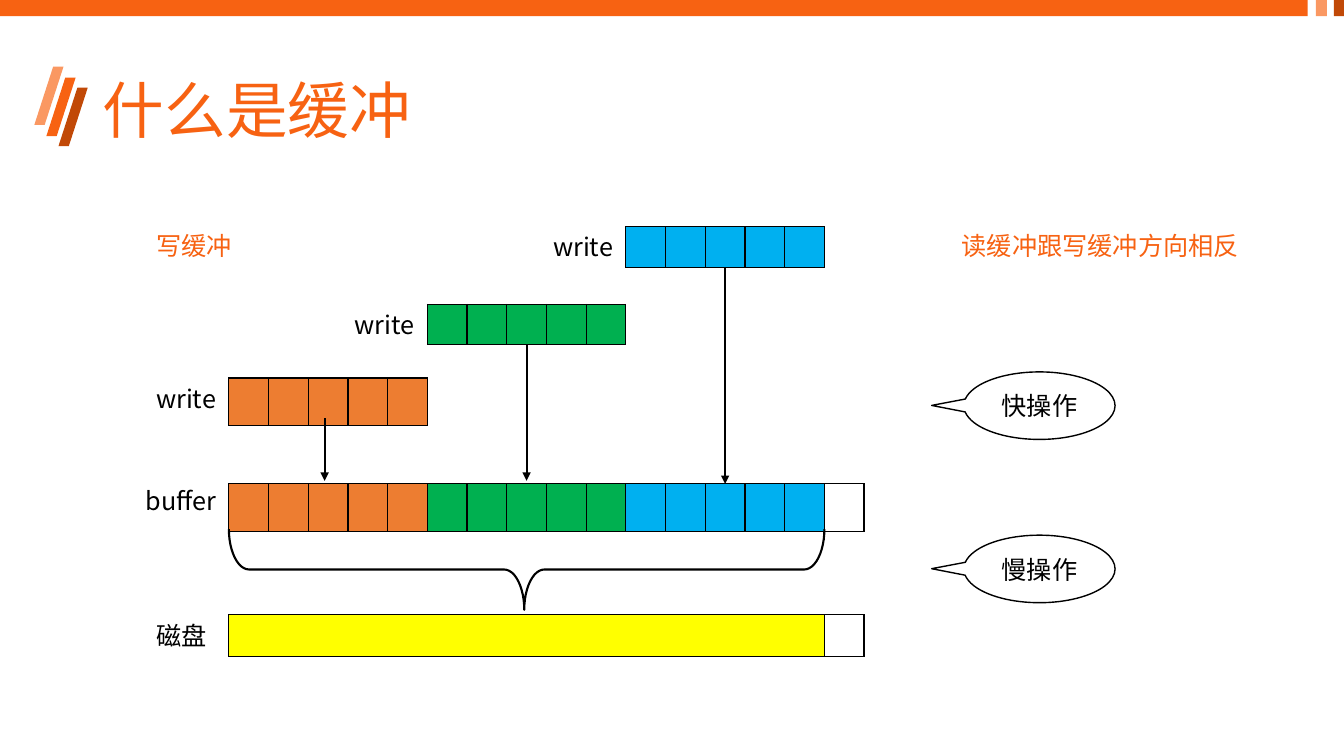
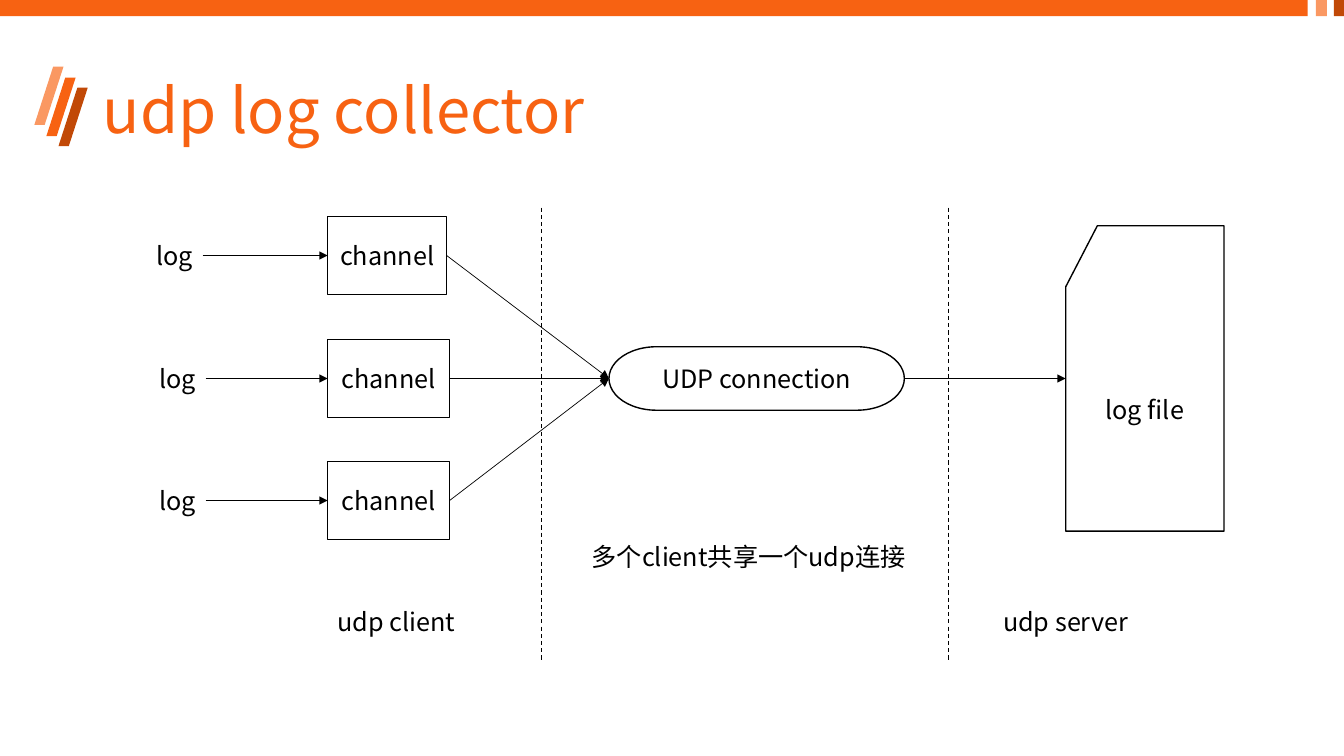
from lxml.etree import SubElement
from pptx import Presentation
from pptx.dml.color import RGBColor
from pptx.enum.dml import MSO_LINE
from pptx.enum.shapes import MSO_CONNECTOR, MSO_SHAPE
from pptx.enum.text import MSO_ANCHOR, MSO_AUTO_SIZE, PP_ALIGN
from pptx.oxml.ns import qn
from pptx.util import Inches, Pt

FONT = "Noto Sans CJK SC"
ORANGE, PEACH, RUST = "F76212", "FA9862", "C14907"
BLACK, WHITE = "000000", "FFFFFF"
AMBER, GREEN, BLUE, YELLOW = "ED7D31", "00B050", "00B0F0", "FFFF00"

STRIPES = [(0.46, 0.77, ORANGE), (0.34, 0.66, PEACH), (0.58, 0.87, RUST)]
BAND = [(0, 12.97, ORANGE), (13.05, 0.11, PEACH), (13.23, 0.11, RUST)]

GRID_LEFT, GRID_WIDTH, SLOTS, GROUP = 2.27, 6.3, 16, 5
SLOT = GRID_WIDTH / SLOTS
WRITES = [
    (AMBER, 3.75, 0.47, 4.15, 4.77),
    (GREEN, 3.02, 0.4, 3.42, 4.77),
    (BLUE, 2.25, 0.4, 2.65, 4.8),
]
BUFFER_LABELS = [
    ("buffer", 1.35, 4.77, 0.94, BLACK),
    ("磁盘", 1.45, 6.1, 0.71, BLACK),
    ("写缓冲", 1.45, 2.24, 0.96, ORANGE),
    ("读缓冲跟写缓冲方向相反", 9.44, 2.24, 2.98, ORANGE),
]
CALLOUTS = [("快操作", 3.69), ("慢操作", 5.31)]

LOG_ROWS = [(1.45, 2.15, 1.18), (1.48, 3.37, 1.21), (1.48, 4.58, 1.21)]
LOG_WIDTH, ARROW_OFFSET = 0.65, 0.56
CHANNEL_LEFT, CHANNEL_HEIGHT = 3.25, 0.77
FLOW_MIDDLE = LOG_ROWS[1][1] + CHANNEL_HEIGHT / 2
CONNECTION_LEFT, CONNECTION_WIDTH, CONNECTION_HEIGHT = 6.04, 2.93, 0.63
FILE_LEFT, FILE_WIDTH, FILE_HEIGHT = 10.57, 1.57, 3.03
ZONE_LABELS = [("udp client", 3.25, 1.37), ("udp server", 9.85, 1.45)]
DIVIDERS = [5.37, 9.41]
LEFT_SITE, RIGHT_SITE = 1, 3


def colour(value):
    return RGBColor.from_string(value)


def write_text(frame, text, value=BLACK, size=18, align=PP_ALIGN.LEFT):
    para = frame.paragraphs[0]
    para.alignment = align
    span = para.add_run()
    span.text = text
    span.font.size = Pt(size)
    span.font.name = FONT
    span.font.color.rgb = colour(value)
    SubElement(span.font._element, qn("a:ea")).set("typeface", FONT)
    return para


def add_shape(page, kind, left, top, width, height, fill=None, line=None,
              text=None, adjust=()):
    shape = page.shapes.add_shape(
        kind, Inches(left), Inches(top), Inches(width), Inches(height))
    shape.shadow.inherit = False
    for index, value in enumerate(adjust):
        shape.adjustments[index] = value
    if fill:
        shape.fill.solid()
        shape.fill.fore_color.rgb = colour(fill)
    else:
        shape.fill.background()
    if line:
        shape.line.color.rgb = colour(BLACK)
        shape.line.width = Pt(line)
    else:
        shape.line.fill.background()
    if text:
        shape.text_frame.vertical_anchor = MSO_ANCHOR.MIDDLE
        write_text(shape.text_frame, text, align=PP_ALIGN.CENTER)
    return shape


def add_label(page, text, left, top, width, value=BLACK, wrap=False):
    box = page.shapes.add_textbox(
        Inches(left), Inches(top), Inches(width), Inches(0.4))
    box.text_frame.word_wrap = wrap
    box.text_frame.auto_size = MSO_AUTO_SIZE.SHAPE_TO_FIT_TEXT
    write_text(box.text_frame, text, value)


def add_line(page, start, end, weight, arrow=True, source=None, target=None):
    line = page.shapes.add_connector(
        MSO_CONNECTOR.STRAIGHT, *(Inches(value) for value in (*start, *end)))
    line.line.color.rgb = colour(BLACK)
    line.line.width = Pt(weight)
    if arrow:
        SubElement(line.line._get_or_add_ln(), qn("a:tailEnd")).set("type", "triangle")
    else:
        line.line.dash_style = MSO_LINE.DASH
    SubElement(line._element.spPr, qn("a:effectLst"))
    if source:
        line.begin_connect(source, RIGHT_SITE)
    if target:
        line.end_connect(target, LEFT_SITE)


def add_cells(page, left, top, height, cells):
    total = sum(width for width, fill in cells)
    table = page.shapes.add_table(
        1, len(cells), Inches(left), Inches(top), Inches(total), Inches(height)).table
    table.first_row = table.horz_banding = False
    for index, (width, fill) in enumerate(cells):
        table.columns[index].width = Inches(width)
        cell = table.cell(0, index)
        cell.margin_left = cell.margin_right = 0
        cell.margin_top = cell.margin_bottom = 0
        properties = cell._tc.get_or_add_tcPr()
        for side in ("lnL", "lnR", "lnT", "lnB"):
            edge = SubElement(properties, qn(f"a:{side}"), w=str(Pt(1)))
            solid = SubElement(edge, qn("a:solidFill"))
            SubElement(solid, qn("a:srgbClr")).set("val", BLACK)
        if fill:
            cell.fill.solid()
            cell.fill.fore_color.rgb = colour(fill)
        else:
            cell.fill.background()


def prepare_layout(deck, page):
    layout = page.slide_layout
    title = layout.placeholders[0]
    title.left, title.top = Inches(0.92), Inches(0.4)
    title.width, title.height = Inches(11.5), Inches(1.45)
    parts = [add_shape(page, MSO_SHAPE.PARALLELOGRAM, left, top, 0.29, 0.58,
                       fill, adjust=[0.646]) for left, top, fill in STRIPES]
    parts += [add_shape(page, MSO_SHAPE.RECTANGLE, left, 0, width, 0.16, fill)
              for left, width, fill in BAND]
    for part in parts:
        layout.shapes.element.append(part.element)


def set_title(page, text):
    frame = page.shapes.title.text_frame
    frame.auto_size = MSO_AUTO_SIZE.NONE
    frame.vertical_anchor = MSO_ANCHOR.MIDDLE
    write_text(frame, text, ORANGE, 44).line_spacing = 0.9


def build_buffer(page):
    set_title(page, "什么是缓冲")
    for index, (fill, top, height, start, end) in enumerate(WRITES):
        left = GRID_LEFT + index * GROUP * SLOT
        add_cells(page, left, top, height, [(SLOT, fill)] * GROUP)
        add_label(page, "write", left - 0.82, top, 0.83)
        middle = 3.22 if index == 0 else left + GROUP * SLOT / 2
        add_line(page, (middle, start), (middle, end), 1.5)
    filled = [(SLOT, row[0]) for row in WRITES for _ in range(GROUP)]
    add_cells(page, GRID_LEFT, 4.8, 0.47, filled + [(SLOT, None)])
    used = SLOT * len(filled)
    add_cells(page, GRID_LEFT, 6.1, 0.41, [(used, YELLOW), (SLOT, None)])
    depth = 0.8
    brace = add_shape(page, MSO_SHAPE.RIGHT_BRACE,
                      GRID_LEFT + (used - depth) / 2, 5.65 - used / 2,
                      depth, used, line=1.5, adjust=[0.25, 0.504])
    brace.rotation = 90
    for label in BUFFER_LABELS:
        add_label(page, *label)
    for text, top in CALLOUTS:
        add_shape(page, MSO_SHAPE.OVAL_CALLOUT, 9.56, top, 1.5, 0.67,
                  WHITE, 1, text, [-0.713, -0.004])


def build_collector(page):
    set_title(page, "udp log collector")
    connection = add_shape(page, MSO_SHAPE.FLOWCHART_TERMINATOR, CONNECTION_LEFT,
                           FLOW_MIDDLE - CONNECTION_HEIGHT / 2, CONNECTION_WIDTH,
                           CONNECTION_HEIGHT, WHITE, 1, "UDP connection")
    log_file = add_shape(page, MSO_SHAPE.FLOWCHART_CARD, FILE_LEFT,
                         FLOW_MIDDLE - FILE_HEIGHT / 2, FILE_WIDTH,
                         FILE_HEIGHT, WHITE, 1, "log file")
    for left, top, width in LOG_ROWS:
        middle = top + CHANNEL_HEIGHT / 2
        channel = add_shape(page, MSO_SHAPE.RECTANGLE, CHANNEL_LEFT, top,
                            width, CHANNEL_HEIGHT, WHITE, 1, "channel")
        add_label(page, "log", left, middle - 0.2, LOG_WIDTH)
        add_line(page, (left + ARROW_OFFSET, middle), (CHANNEL_LEFT, middle), 0.5,
                 target=channel)
        add_line(page, (CHANNEL_LEFT + width, middle),
                 (CONNECTION_LEFT, FLOW_MIDDLE), 0.5,
                 source=channel, target=connection)
    add_line(page, (CONNECTION_LEFT + CONNECTION_WIDTH, FLOW_MIDDLE),
             (FILE_LEFT, FLOW_MIDDLE), 0.5, source=connection, target=log_file)
    for text, left, width in ZONE_LABELS:
        add_label(page, text, left, 5.97, width)
    for left in DIVIDERS:
        add_line(page, (left, 2.06), (left, 6.55), 0.75, arrow=False)
    add_label(page, "多个client共享一个udp连接", 5.77, 5.32, 3.34, wrap=True)


def main():
    deck = Presentation()
    deck.slide_width, deck.slide_height = Inches(13.33), Inches(7.5)
    layout = deck.slide_layouts[5]
    pages = [deck.slides.add_slide(layout) for _ in range(2)]
    prepare_layout(deck, pages[0])
    build_buffer(pages[0])
    build_collector(pages[1])
    deck.save("out.pptx")


if __name__ == "__main__":
    main()
